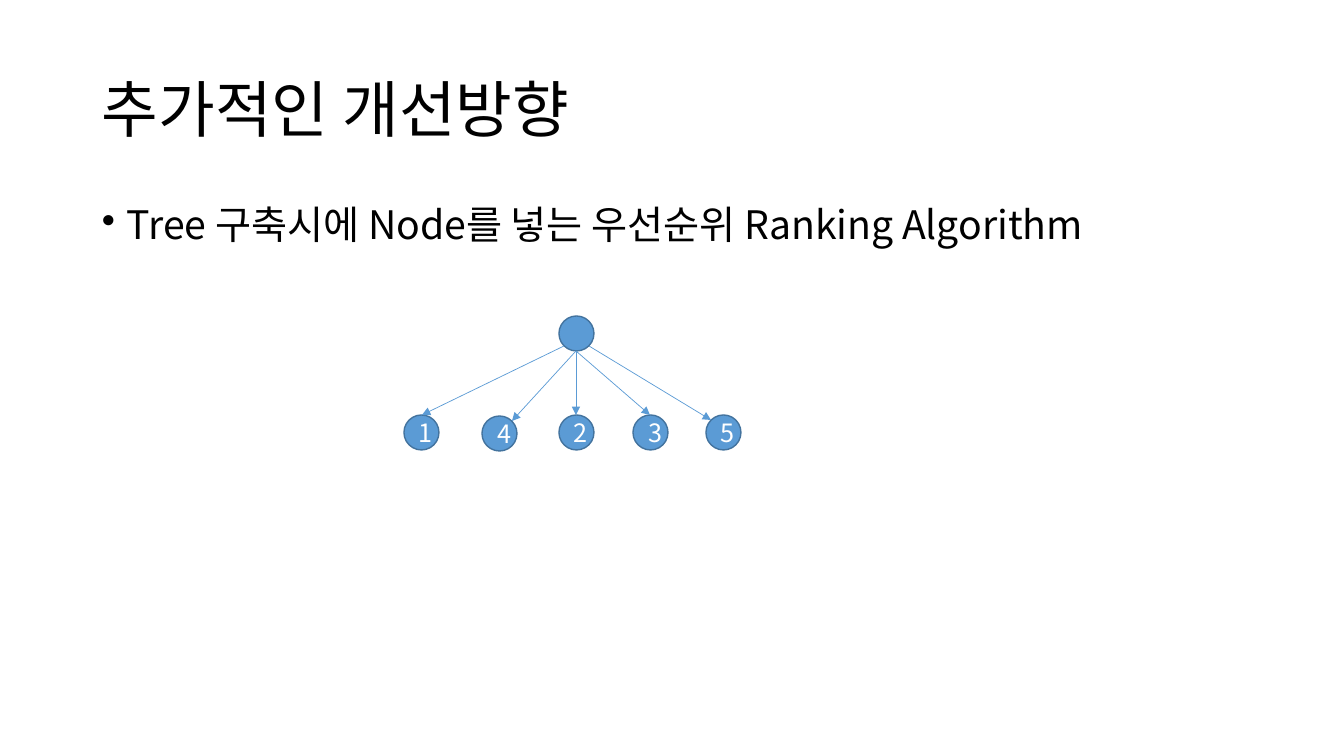
"""Build a slide on improving the node order of a tree with a ranking algorithm."""
from math import cos, radians, sin

from lxml import etree
from pptx import Presentation
from pptx.dml.color import RGBColor
from pptx.enum.shapes import MSO_CONNECTOR, MSO_SHAPE
from pptx.enum.text import MSO_ANCHOR, PP_ALIGN
from pptx.oxml.ns import qn
from pptx.util import Emu, Pt

STRAIGHT = MSO_CONNECTOR.STRAIGHT
OVAL = MSO_SHAPE.OVAL
LEFT, CENTER = PP_ALIGN.LEFT, PP_ALIGN.CENTER
TOP, MIDDLE = MSO_ANCHOR.TOP, MSO_ANCHOR.MIDDLE
COLORS = {"text": "000000", "node": "5B9BD5", "outline": "43739E", "label": "FFFFFF"}
FONT = "Noto Sans CJK KR"
SLIDE_SIZE = (1344, 756)
SCALE = 12192000 / 1344
NODE_SIZE = 35
ROOT = (559, 316)
CHILDREN = [
    ("1", 404, 415, 135, 270),
    ("4", 482, 416, 90, 315),
    ("2", 559, 415, 90, 270),
    ("3", 633, 415, 90, 270),
    ("5", 706, 415, 45, 225),
]


def emu(pixels):
    """Turn pixels into EMU."""
    return Emu(round(pixels * SCALE))


def color(name):
    """Look up a named colour."""
    return RGBColor.from_string(COLORS[name])


def write_text(frame, text, *, size, fill="text", align=LEFT, anchor=TOP,
               line_spacing=None, space_before=None, bullet=None, indent=0):
    """Write one formatted paragraph into a text frame."""
    frame.word_wrap = True
    frame.vertical_anchor = anchor
    paragraph = frame.paragraphs[0]
    paragraph.alignment = align
    paragraph.line_spacing = line_spacing
    paragraph.space_before = space_before
    if bullet:
        properties = paragraph._p.get_or_add_pPr()
        properties.set("marL", str(emu(indent)))
        properties.set("indent", str(-emu(indent)))
        etree.SubElement(properties, qn("a:buChar"), char=bullet)
    run = paragraph.add_run()
    run.text = text
    run.font.size = Pt(size)
    run.font.name = FONT
    run.font.color.rgb = color(fill)
    etree.SubElement(run._r.get_or_add_rPr(), qn("a:ea"), typeface=FONT)


def rim_point(node, angle):
    """Find the point on a node's rim at an angle clockwise from the right."""
    radius = NODE_SIZE / 2
    left, top = node
    return (round(left + radius + radius * cos(radians(angle))),
            round(top + radius + radius * sin(radians(angle))))


class SlideBuilder:
    """Hold the style and the current slide."""

    def __init__(self, slide):
        """Keep the slide to draw on."""
        self.shapes = slide.shapes

    def text(self, box, text, **style):
        """Add a text box."""
        shape = self.shapes.add_textbox(*map(emu, box))
        write_text(shape.text_frame, text, **style)

    def node(self, left, top, label=None):
        """Add a round tree node."""
        shape = self.shapes.add_shape(OVAL, *map(emu, (left, top, NODE_SIZE, NODE_SIZE)))
        shape.shadow.inherit = False
        shape.fill.solid()
        shape.fill.fore_color.rgb = color("node")
        shape.line.color.rgb = color("outline")
        shape.line.width = Pt(1)
        if label:
            write_text(shape.text_frame, label, size=18, fill="label",
                       align=CENTER, anchor=MIDDLE)

    def arrow(self, start, end):
        """Add an arrow between two points."""
        connector = self.shapes.add_connector(STRAIGHT, *map(emu, (*start, *end)))
        connector.line.color.rgb = color("node")
        connector.line.width = Pt(0.5)
        etree.SubElement(connector.line._get_or_add_ln(), qn("a:tailEnd"), type="triangle")
        etree.SubElement(connector._element.spPr, qn("a:effectLst"))


def main():
    """Build and save the presentation."""
    presentation = Presentation()
    presentation.slide_width, presentation.slide_height = map(emu, SLIDE_SIZE)
    slide = presentation.slides.add_slide(presentation.slide_layouts[6])
    builder = SlideBuilder(slide)
    builder.text((92, 40, 1159, 146), "추가적인 개선방향", size=44,
                 anchor=MIDDLE, line_spacing=0.9)
    builder.text((92, 201, 1159, 480), "Tree 구축시에 Node를 넣는 우선순위 Ranking Algorithm",
                 size=28, line_spacing=0.9, space_before=Pt(10), bullet="•", indent=25)
    builder.node(*ROOT)
    for label, left, top, start_angle, end_angle in CHILDREN:
        builder.node(left, top, label)
        builder.arrow(rim_point(ROOT, start_angle), rim_point((left, top), end_angle))
    presentation.save("out.pptx")


main()
